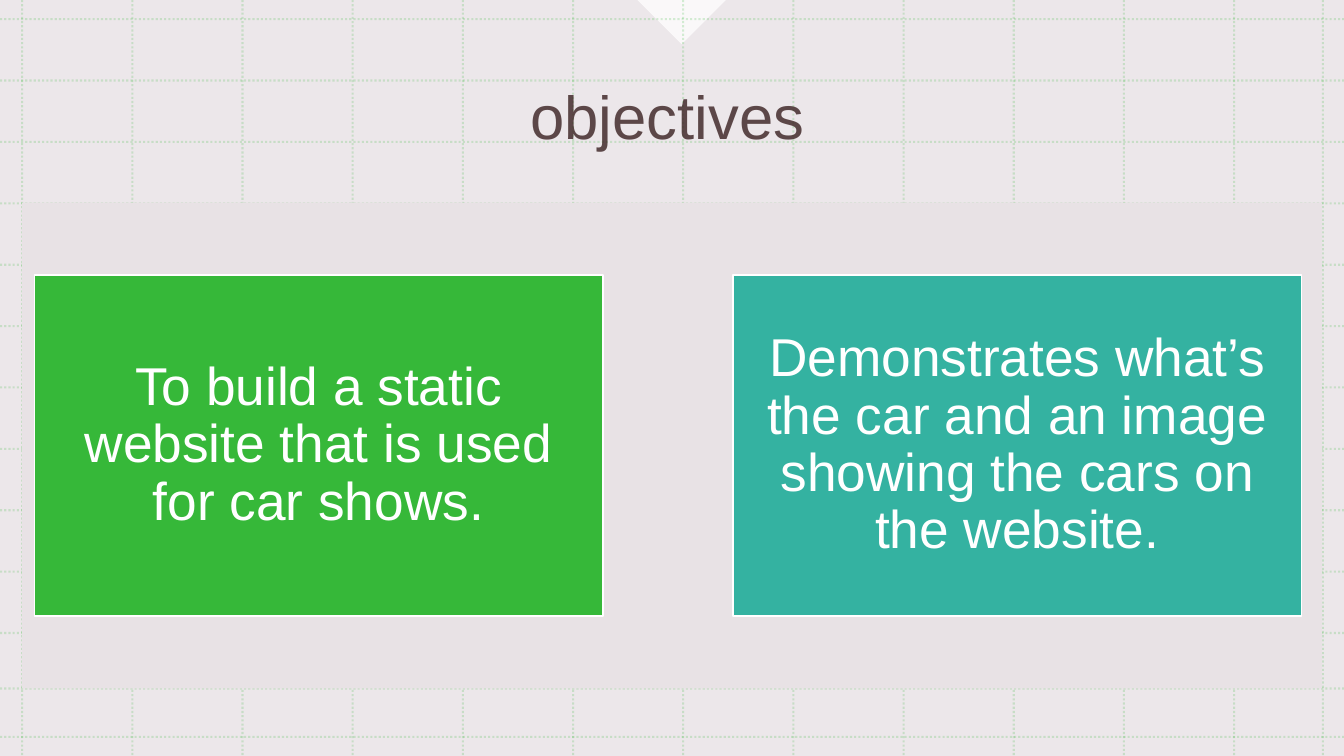
import pptx
import pptx.util
import pptx.dml.color
import pptx.enum.dml
import pptx.enum.shapes
import pptx.enum.text
import pptx.oxml.ns
import lxml.etree

RGB = pptx.dml.color.RGBColor
SHAPE = pptx.enum.shapes.MSO_SHAPE
qn = pptx.oxml.ns.qn

WHITE = RGB(0xFF, 0xFF, 0xFF)
MIST = RGB(0xE8, 0xE2, 0xE5)
BROWN = RGB(0x39, 0x20, 0x20)
GREEN = RGB(0x36, 0xB8, 0x39)
TEAL = RGB(0x34, 0xB2, 0xA1)

SCALE = 9144
WIDE, HIGH = 1333, 750
CARDS = [
    ("To build a static website that is used for car shows.", GREEN),
    ("Demonstrates what’s the car and an image showing the cars on the website.", TEAL),
]


def px(*sizes):
    return [round(size * SCALE) for size in sizes]


def fade(node, percent):
    for color in node.iter(qn("a:srgbClr")):
        lxml.etree.SubElement(color, qn("a:alpha"), val=str(percent * 1000))


def block(slide, kind, box, color):
    shape = slide.shapes.add_shape(kind, *px(*box))
    shape.shadow.inherit = False
    shape.fill.solid()
    shape.fill.fore_color.rgb = color
    shape.line.fill.background()
    return shape


def write(shape, text, size, color):
    frame = shape.text_frame
    frame.word_wrap = True
    frame.vertical_anchor = pptx.enum.text.MSO_ANCHOR.MIDDLE
    para = frame.paragraphs[0]
    para.alignment = pptx.enum.text.PP_ALIGN.CENTER
    para.line_spacing = 0.9
    run = para.add_run()
    run.text = text
    run.font.name = "Arial"
    run.font.size = pptx.util.Pt(size)
    run.font.color.rgb = color
    return run


def rule(slide, ends):
    line = slide.shapes.add_connector(
        pptx.enum.shapes.MSO_CONNECTOR.STRAIGHT, *px(*ends))
    line.line.color.rgb = GREEN
    line.line.width = pptx.util.Pt(1.5)
    line.line.dash_style = pptx.enum.dml.MSO_LINE.ROUND_DOT
    props = line._element.spPr
    fade(props, 20)
    lxml.etree.SubElement(props, qn("a:effectLst"))


def grid(slide, box):
    left, top, width, height = box
    cols = [22 + 1202 * i / 11 for i in range(12)] + [1312]
    rows = [19 + 609 * i / 10 for i in range(11)] + [683, 731]
    for x in cols:
        rule(slide, (left + x, top, left + x, top + height))
    for y in rows:
        rule(slide, (left, top + y, left + width, top + y))


def backdrop(slide, box):
    left, top, width, height = box
    tint = block(slide, SHAPE.RECTANGLE, box, MIST)
    fade(tint._element.spPr, 80)
    side = 62
    notch = block(slide, SHAPE.RIGHT_TRIANGLE,
                  (left + 645, top - side / 2, side, side), WHITE)
    notch.rotation = 315
    fade(notch._element.spPr, 75)
    grid(slide, box)


def title(slide, box):
    label = slide.shapes.add_textbox(*px(*box))
    run = write(label, "objectives", 44, BROWN)
    fade(run._r, 80)


def card(slide, box, text, color):
    shape = block(slide, SHAPE.RECTANGLE, box, color)
    shape.line.color.rgb = WHITE
    shape.line.width = pptx.util.Pt(1)
    frame = shape.text_frame
    frame.margin_left, frame.margin_right = px(28, 28)
    frame.margin_top, frame.margin_bottom = px(29, 29)
    write(shape, text, 38, WHITE)


def panel(slide, box):
    left, top, width, height = box
    block(slide, SHAPE.RECTANGLE, box, MIST)
    for i, (text, color) in enumerate(CARDS):
        card(slide, (left + 12 + 693 * i, top + 72, 564, 338), text, color)


def main():
    deck = pptx.Presentation()
    deck.slide_width, deck.slide_height = px(WIDE, HIGH)
    slide = deck.slides.add_slide(deck.slide_layouts[6])
    backdrop(slide, (0, 0, WIDE, HIGH))
    panel(slide, (22, 201, 1289, 482))
    title(slide, (33, 37, 1258, 164))
    deck.save("out.pptx")


if __name__ == "__main__":
    main()
